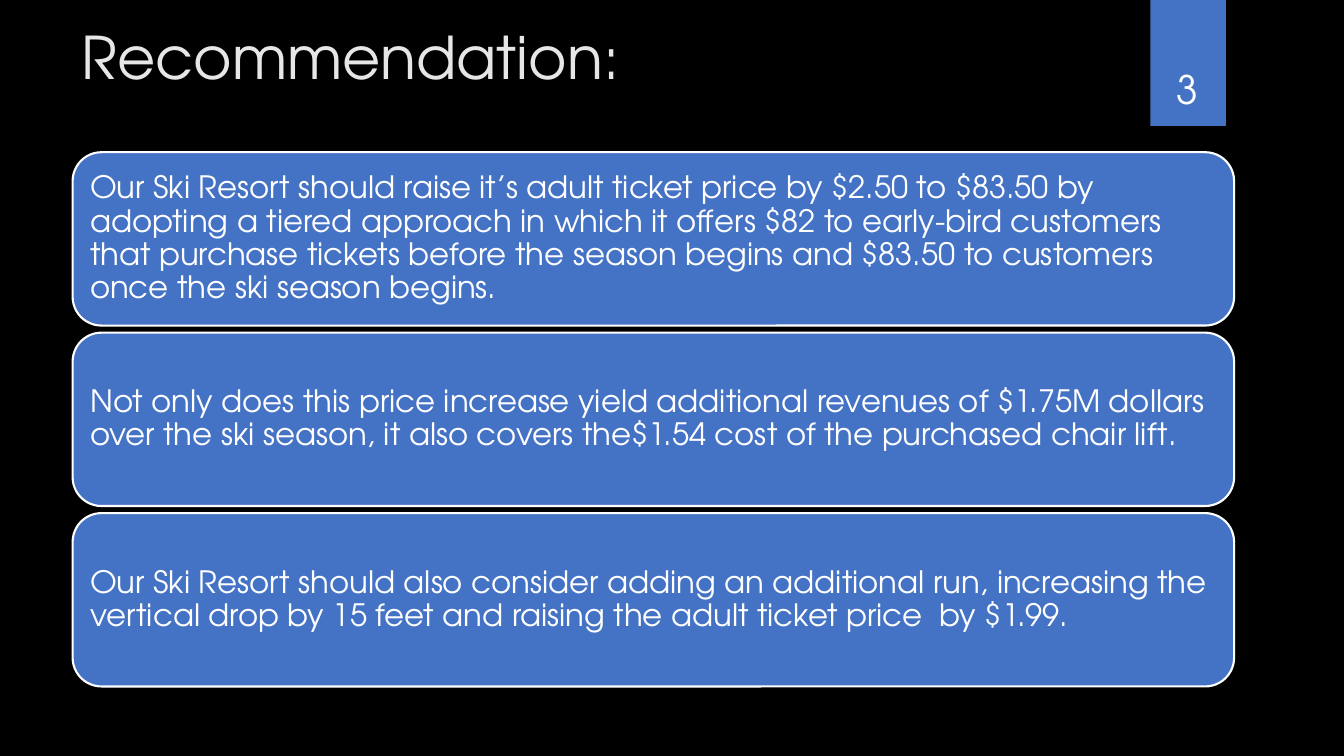
from dataclasses import dataclass

from pptx import Presentation
from pptx.dml.color import RGBColor
from pptx.enum import shapes, text
from pptx.util import Inches, Pt

BLACK = RGBColor(0x00, 0x00, 0x00)
BLUE = RGBColor(0x44, 0x72, 0xC4)
WHITE = RGBColor(0xFF, 0xFF, 0xFF)
GRAY = RGBColor(0xE7, 0xE6, 0xE6)
FONT = "TeX Gyre Adventor"
LEFT, TOP, WIDTH, HEIGHT, STEP = 0.72, 1.51, 11.52, 1.72, 1.79


@dataclass
class Box:
    left: float
    top: float
    width: float
    height: float

    def place(self) -> tuple:
        return tuple(map(Inches, (self.left, self.top, self.width, self.height)))


@dataclass
class Style:
    size: float
    color: RGBColor
    anchor: text.MSO_ANCHOR
    align: text.PP_ALIGN = text.PP_ALIGN.LEFT
    space: float = 1.0
    after: float = 0


TITLE = Style(42, GRAY, text.MSO_ANCHOR.TOP)
NUMBER = Style(28, WHITE, text.MSO_ANCHOR.BOTTOM, text.PP_ALIGN.CENTER)
ADVICE = Style(22, WHITE, text.MSO_ANCHOR.MIDDLE, space=0.9, after=7.7)

POINTS = [
    "Our Ski Resort should raise it’s adult ticket price by $2.50 to $83.50 by "
    "adopting a tiered approach in which it offers $82 to early-bird customers "
    "that purchase tickets before the season begins and $83.50 to customers "
    "once the ski season begins.",
    "Not only does this price increase yield additional revenues of $1.75M dollars "
    "over the ski season, it also covers the$1.54 cost of the purchased chair lift.",
    "Our Ski Resort should also consider adding an additional run, increasing the "
    "vertical drop by 15 feet and raising the adult ticket price  by $1.99.",
]


def write(shape, words: str, style: Style) -> None:
    frame = shape.text_frame
    frame.word_wrap = True
    frame.vertical_anchor = style.anchor
    frame.text = words
    para = frame.paragraphs[0]
    para.alignment = style.align
    para.line_spacing = style.space
    para.space_after = Pt(style.after)
    font = para.runs[0].font
    font.name, font.size = FONT, Pt(style.size)
    font.color.rgb = style.color


def label(slide, box: Box, words: str, style: Style) -> None:
    write(slide.shapes.add_textbox(*box.place()), words, style)


def panel(slide, kind: shapes.MSO_SHAPE, box: Box):
    shape = slide.shapes.add_shape(kind, *box.place())
    shape.shadow.inherit = False
    shape.fill.solid()
    shape.fill.fore_color.rgb = BLUE
    shape.line.fill.background()
    return shape


def card(slide, box: Box, words: str) -> None:
    shape = panel(slide, shapes.MSO_SHAPE.ROUNDED_RECTANGLE, box)
    shape.line.color.rgb = WHITE
    shape.line.width = Pt(1.5)
    frame = shape.text_frame
    frame.margin_left = frame.margin_right = Inches(0.09)
    frame.margin_top = frame.margin_bottom = Inches(0.09)
    write(shape, words, ADVICE)


deck = Presentation()
deck.slide_width, deck.slide_height = Inches(13.33), Inches(7.5)
slide = deck.slides.add_slide(deck.slide_layouts[6])
slide.background.fill.solid()
slide.background.fill.fore_color.rgb = BLACK

panel(slide, shapes.MSO_SHAPE.RECTANGLE, Box(11.41, 0, 0.75, 1.25))
label(slide, Box(0.71, 0.16, 10.29, 1.25), "Recommendation:", TITLE)
label(slide, Box(11.32, 0.32, 0.92, 0.84), "3", NUMBER)
for row, words in enumerate(POINTS):
    card(slide, Box(LEFT, TOP + row * STEP, WIDTH, HEIGHT), words)

deck.save("out.pptx")
